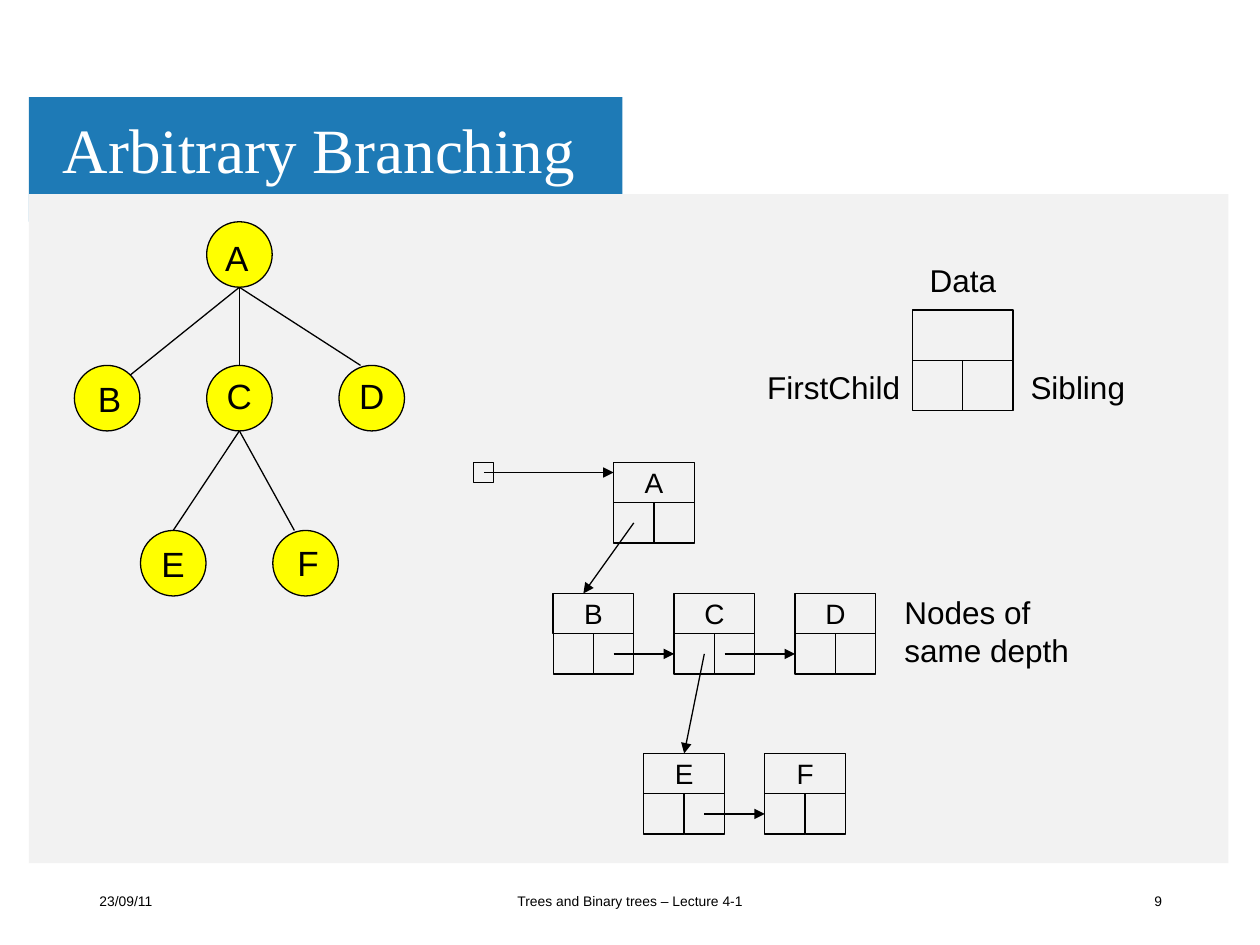
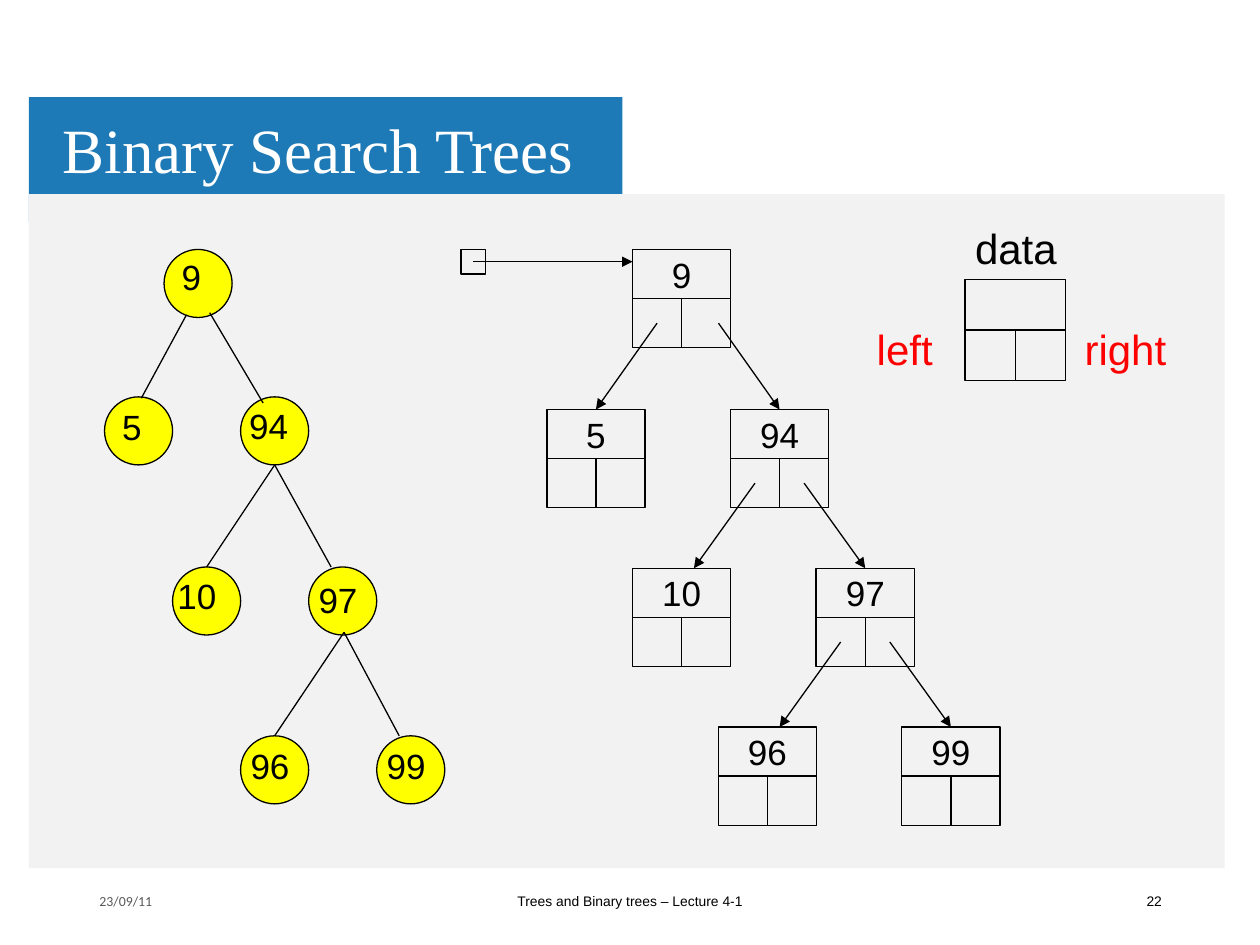
from dataclasses import dataclass

from lxml import etree
from pptx import Presentation
from pptx import util as u
from pptx.dml.color import RGBColor
from pptx.enum import shapes, text
from pptx.oxml.ns import qn


@dataclass(frozen=True)
class Theme:
    band: str = "1E7AB6"
    panel: str = "F2F2F2"
    node: str = "FFFF00"
    ink: str = "000000"
    paper: str = "FFFFFF"
    muted: str = "595959"
    accent: str = "FF0000"
    title_font: str = "Times New Roman"
    body_font: str = "Arial"
    title_size: float = 36
    node_size: float = 20
    footer_size: float = 7.9
    stroke: float = 0.75


THEME = Theme()
RECT, OVAL = shapes.MSO_SHAPE.RECTANGLE, shapes.MSO_SHAPE.OVAL
LEFT, CENTER, RIGHT = text.PP_ALIGN.LEFT, text.PP_ALIGN.CENTER, text.PP_ALIGN.RIGHT
TOP, MIDDLE = text.MSO_ANCHOR.TOP, text.MSO_ANCHOR.MIDDLE
BOTTOM_MID, TOP_MID = (0.5, 1), (0.5, 0)  # shares of a tree node
TO_TOP, TO_LEFT = (1, 0), (0, 1.5)        # cells within a record


def add_box(slide, at, kind=None, fill=None, outline=False, words="", size=18,
            color=THEME.ink, font=THEME.body_font, align=LEFT, anchor=TOP,
            wrap=True, spacing=None, tab=None):
    """Add a preset shape, or a text box when kind is None."""
    at = [u.Inches(length) for length in at]
    if kind is None:
        box = slide.shapes.add_textbox(*at)
    else:
        box = slide.shapes.add_shape(kind, *at)
        box.shadow.inherit = False
        if fill:
            box.fill.solid()
            box.fill.fore_color.rgb = RGBColor.from_string(fill)
        else:
            box.fill.background()
        if outline:
            box.line.color.rgb = RGBColor.from_string(THEME.ink)
            box.line.width = u.Pt(THEME.stroke)
        else:
            box.line.fill.background()
    if words:
        frame = box.text_frame
        frame.word_wrap = wrap
        frame.vertical_anchor = anchor
        frame.text = words
        paragraph = frame.paragraphs[0]
        if tab:
            tabs = etree.SubElement(paragraph._p.get_or_add_pPr(), qn("a:tabLst"))
            etree.SubElement(tabs, qn("a:tab"), pos=str(u.Inches(tab)), algn="l")
        paragraph.alignment = align
        if spacing:
            paragraph.line_spacing = spacing
        for run in paragraph.runs:
            run.font.size = u.Pt(size)
            run.font.name = font
            run.font.color.rgb = RGBColor.from_string(color)
    return box


def add_link(slide, start, end, arrow=False):
    link = slide.shapes.add_connector(
        shapes.MSO_CONNECTOR.STRAIGHT, *[u.Inches(length) for length in (*start, *end)])
    link.line.color.rgb = RGBColor.from_string(THEME.ink)
    link.line.width = u.Pt(THEME.stroke)
    if arrow:
        etree.SubElement(link.line._get_or_add_ln(), qn("a:tailEnd"), type="triangle")
    etree.SubElement(link._element.spPr, qn("a:effectLst"))
    return link


# tree nodes: name -> column, row, label shift right, label shift down
# tree edges: parent, child, start share, end share
# records: name -> column, row
# pointers: source, start column in cells, target, end in cells
# legend: record corner, cell, type size, then (words, box, colour, tab)
lectures = [
    dict(
        title="Arbitrary Branching", title_width=5.56, panel_size=(9.52, 5.31), number="9",
        date_style=dict(font=THEME.body_font, color=THEME.ink),
        tree_left=0.59, tree_step=0.525, tree_rows=(1.76, 2.9, 4.21), node=0.52,
        label_style=dict(align=CENTER, spacing=1.2), label_widths=(0.46,),
        nodes={"A": (2, 0, 0.01, 0), "B": (0, 1, 0.05, -0.02), "C": (2, 1, 0.03, -0.04),
               "D": (4, 1, 0.03, -0.04), "E": (1, 2, 0.03, -0.02), "F": (3, 2, 0.05, -0.03)},
        edges=[("A", "B", BOTTOM_MID, (0.85, 0.15)), ("A", "C", BOTTOM_MID, TOP_MID),
               ("C", "E", BOTTOM_MID, TOP_MID), ("C", "F", BOTTOM_MID, (0.33, 0)),
               ("A", "D", BOTTOM_MID, (0.33, 0))],
        legend_at=(7.24, 2.46), legend_cell=0.4, legend_size=18,
        legend=[("Data", (7.28, 2.02, 1.15, 0.4), THEME.ink, None),
                ("FirstChild\tSibling", (5.99, 2.87, 3.92, 0.4), THEME.ink, 2.09)],
        record_left=4.39, record_step=0.24, record_rows=(3.67, 4.71, 5.98),
        cell=0.32, record_size=16, root="A", root_left=3.76,
        records={"A": (2, 0), "B": (0, 1), "C": (4, 1), "D": (8, 1), "E": (3, 2), "F": (7, 2)},
        pointers=[("A", 0.5, "B", (0.75, 0)), ("B", 1.5, "C", TO_LEFT),
                  ("C", 1.25, "D", TO_LEFT), ("C", 0.75, "E", TO_TOP),
                  ("E", 1.5, "F", TO_LEFT)],
        remarks=[("Nodes of same depth", (7.08, 4.66, 1.6, 0.71))],
    ),
    dict(
        title="Binary Search Trees", title_width=5.06, panel_size=(9.49, 5.35), number="22",
        date_style=dict(font="Calibri", color=THEME.muted),
        tree_left=0.83, tree_step=0.27, tree_rows=(1.98, 3.15, 4.5, 5.84), node=0.54,
        label_style=dict(align=LEFT), label_widths=(0.48, 0.7),
        nodes={"9": (1.75, 0, 0.04, 0), "5": (0, 1, 0.04, 0.02), "94": (4, 1, -0.03, 0.01),
               "10": (2, 2, -0.06, 0.01), "97": (6, 2, -0.02, 0.04),
               "96": (4, 3, -0.02, 0.02), "99": (8, 3, -0.02, 0.02)},
        edges=[("9", "5", (0.33, 0.96), (0.54, 0.02)), ("9", "94", (0.67, 0.93), (0.33, 0.09)),
               ("94", "10", BOTTOM_MID, TOP_MID), ("94", "97", BOTTOM_MID, (0.33, 0)),
               ("97", "96", (0.52, 0.96), TOP_MID), ("97", "99", (0.52, 0.96), (0.33, 0))],
        legend_at=(7.66, 2.22), legend_cell=0.4, legend_size=24,
        legend=[("data", (7.64, 1.72, 1.08, 0.5), THEME.ink, None),
                ("left\tright", (6.86, 2.52, 2.74, 0.5), THEME.accent, 1.65)],
        record_left=4.34, record_step=0.68 / 7, record_rows=(1.98, 3.25, 4.51, 5.77),
        cell=0.39, record_size=20, root="9", root_left=3.66,
        records={"9": (7, 0), "5": (0, 1), "94": (15, 1), "10": (7, 2), "97": (22, 2),
                 "96": (14, 3), "99": (29, 3)},
        pointers=[("9", 0.5, "5", TO_TOP), ("94", 0.5, "10", (1.25, 0)),
                  ("97", 0.5, "96", (1.25, 0)), ("9", 1.75, "94", TO_TOP),
                  ("94", 1.5, "97", TO_TOP), ("97", 1.5, "99", TO_TOP)],
        remarks=[],
    ),
]

prs = Presentation()
prs.slide_width, prs.slide_height = u.Inches(10), u.Inches(7.5)

for lecture in lectures:
    slide = prs.slides.add_slide(prs.slide_layouts[6])

    # Band, panel, title and footer
    add_box(slide, (0.23, 0.77, 4.71, 0.99), RECT, THEME.band)
    add_box(slide, (0.23, 1.54, *lecture["panel_size"]), RECT, THEME.panel)
    add_box(slide, (0.4, 0.82, lecture["title_width"], 0.79), words=lecture["title"],
            size=THEME.title_size, font=THEME.title_font, color=THEME.paper,
            anchor=MIDDLE, spacing=0.9)
    for words, left, width, style in [
            ("23/09/11", 0.69, 2.25, lecture["date_style"]),
            ("Trees and Binary trees – Lecture 4-1", 3.31, 3.38, dict(align=CENTER)),
            (lecture["number"], 7.07, 2.25, dict(align=RIGHT))]:
        add_box(slide, (left, 6.95, width, 0.4), words=words,
                size=THEME.footer_size, anchor=MIDDLE, **style)

    # Tree of round nodes
    node = lecture["node"]
    corners = {}
    for name, (column, row, _, _) in lecture["nodes"].items():
        corners[name] = (lecture["tree_left"] + column * lecture["tree_step"],
                         lecture["tree_rows"][row])
        add_box(slide, (*corners[name], node, node), OVAL, THEME.node, outline=True)
    for parent, child, start, end in lecture["edges"]:
        add_link(slide, *[[corner + share * node for corner, share in zip(corners[name], shares)]
                          for name, shares in ((parent, start), (child, end))])
    for name, (_, _, right, down) in lecture["nodes"].items():
        left, top = corners[name]
        add_box(slide, (left + right, top + down, lecture["label_widths"][len(name) - 1], 0.46),
                words=name, size=THEME.node_size, **lecture["label_style"])

    # Records: a data field above two link cells; the legend is a blank record
    cell = lecture["cell"]
    records = [("", lecture["legend_at"], lecture["legend_cell"])]
    for name, (column, row) in lecture["records"].items():
        corner = (lecture["record_left"] + column * lecture["record_step"],
                  lecture["record_rows"][row])
        records.append((name, corner, cell))
    places, link_cells, data_fields = {}, {}, {}
    for name, (left, top), side in records:
        places[name] = left, top
        link_cells[name] = [
            add_box(slide, (left + i * side, top + side, side, side), RECT, outline=True)
            for i in range(2)]
        data_fields[name] = add_box(
            slide, (left, top, 2 * side, side), RECT, outline=True, words=name,
            size=lecture["record_size"], align=CENTER, anchor=MIDDLE, wrap=False)
    for words, at, color, tab in lecture["legend"]:
        add_box(slide, at, words=words, size=lecture["legend_size"], color=color, tab=tab)

    # Pointers between records
    for source, across, target, (end_across, end_down) in lecture["pointers"]:
        (left, top), (end_left, end_top) = places[source], places[target]
        pointer = add_link(slide, (left + across * cell, top + 1.5 * cell),
                           (end_left + end_across * cell, end_top + end_down * cell), arrow=True)
        if (end_across, end_down) == TO_TOP:
            pointer.end_connect(data_fields[target], 0)
        elif (end_across, end_down) == TO_LEFT:
            pointer.end_connect(link_cells[target][0], 1)

    # Root pointer
    root_left, (first_left, first_top) = lecture["root_left"], places[lecture["root"]]
    add_box(slide, (root_left, first_top, cell / 2, cell / 2), RECT, outline=True)
    add_link(slide, (root_left + cell / 4, first_top + cell / 4),
             (first_left, first_top + cell / 4), arrow=True)

    for words, at in lecture["remarks"]:
        add_box(slide, at, words=words)

prs.save("out.pptx")
